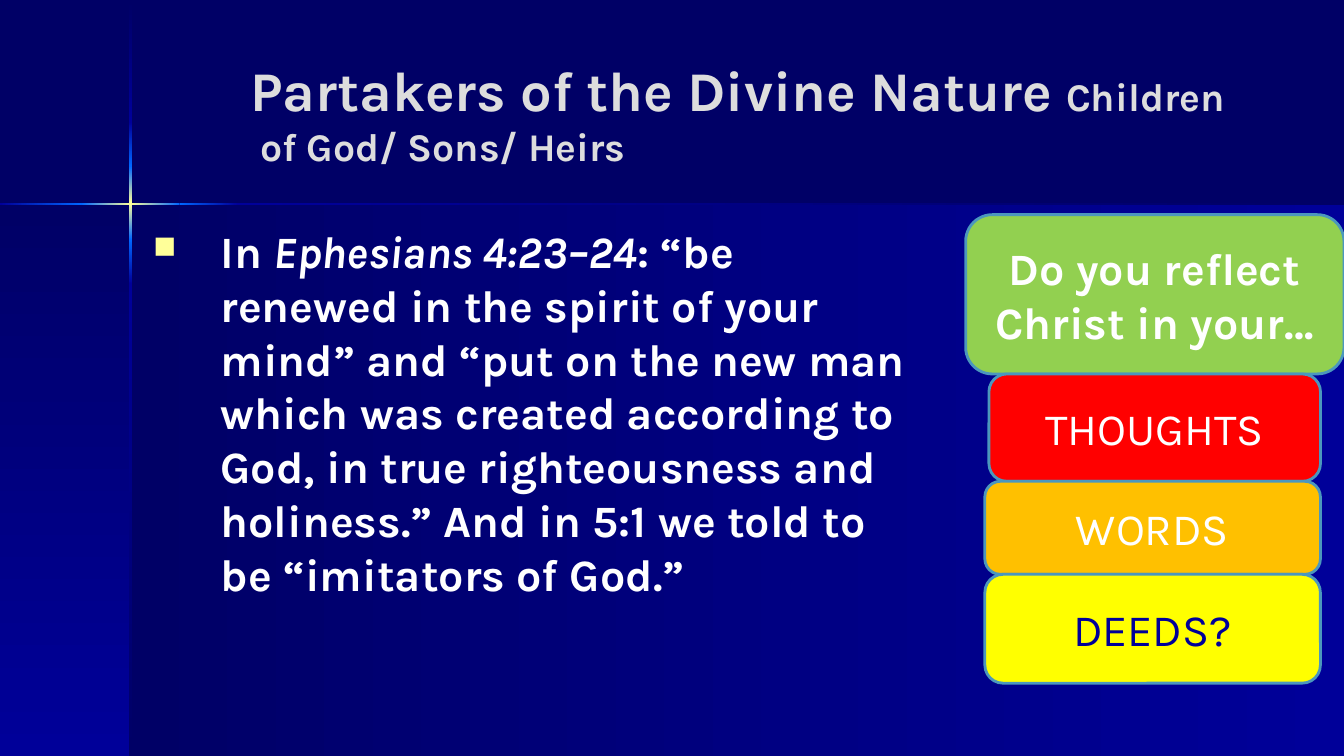
from itertools import pairwise

from lxml.etree import SubElement
from pptx import Presentation
from pptx.dml.color import RGBColor
from pptx.enum.shapes import MSO_SHAPE as Shape
from pptx.enum.text import MSO_ANCHOR as Anchor, MSO_AUTO_SIZE as AutoSize, PP_ALIGN as Align
from pptx.oxml.ns import qn
from pptx.util import Inches, Pt

NIGHT, NAVY, BLUE, GLOW = "000066", "000099", "0066FF", "FFFF99"
WHITE, SILVER, EDGE = "FFFFFF", "DDDDDD", "4B97BD"


def color(value):
    return RGBColor.from_string(value)


class SlideBuilder:
    """Holds the style and the slide; lengths are percent of the slide's size."""

    font = "Karla"
    size = 32

    def __init__(self, deck):
        self.width, self.height = deck.slide_width, deck.slide_height
        self.page = deck.slides.add_slide(deck.slide_layouts[5])
        self.page.background.fill.solid()
        self.page.background.fill.fore_color.rgb = color(NIGHT)

    def area(self, left, top, width, height):
        return (round(self.width * left / 100), round(self.height * top / 100),
                round(self.width * width / 100), round(self.height * height / 100))

    def shape(self, kind, area):
        box = self.page.shapes.add_shape(kind, *self.area(*area))
        box.shadow.inherit = False
        return box

    def gradient(self, area, tones, downward=False):
        box = self.shape(Shape.RECTANGLE, area)
        box.line.fill.background()
        box.fill.gradient()
        box.fill.gradient_angle = 270 if downward else 0
        stops = box._element.spPr.find(qn("a:gradFill")).find(qn("a:gsLst"))
        stops.clear()
        for index, tone in enumerate(tones):
            position = 100000 * index // (len(tones) - 1)
            stop = SubElement(stops, qn("a:gs"), pos=str(position))
            SubElement(stop, qn("a:srgbClr"), val=tone)

    def ray(self, marks, segments, downward=False):
        for (start, end), tones in zip(pairwise(marks), segments):
            length = end - start
            area = (9.6, start, 0.22, length) if downward else (start, 26.8, length, 0.27)
            self.gradient(area, tones, downward)

    def span(self, para, text, tone, size=None, bold=True, italic=False):
        span = para.add_run()
        span.text = text
        span.font.name = self.font
        span.font.size = Pt(size or self.size)
        span.font.bold, span.font.italic = bold, italic
        span.font.color.rgb = color(tone)

    def hang(self, para, margin, indent):
        properties = para._p.get_or_add_pPr()
        properties.set("marL", str(Inches(margin)))
        properties.set("indent", str(Inches(indent)))
        return properties

    def title(self, area, spans):
        box = self.page.shapes.title
        self.page.shapes._spTree.append(box._element)
        box.left, box.top, box.width, box.height = self.area(*area)
        frame = box.text_frame
        frame.word_wrap, frame.auto_size = True, AutoSize.NONE
        frame.vertical_anchor = Anchor.MIDDLE
        para = frame.paragraphs[0]
        para.alignment = Align.LEFT
        self.hang(para, 0.92, -0.1)
        for text, size in spans:
            self.span(para, text, SILVER, size)

    def bullet(self, area, spans):
        box = self.page.shapes.add_textbox(*self.area(*area))
        box.text_frame.word_wrap = True
        para = box.text_frame.paragraphs[0]
        properties = self.hang(para, 0.67, -0.67)
        tint = SubElement(properties, qn("a:buClr"))
        SubElement(tint, qn("a:srgbClr"), val=GLOW)
        SubElement(properties, qn("a:buSzPct"), val="70000")
        SubElement(properties, qn("a:buChar"), char="■")
        for text, italic in spans:
            self.span(para, text, WHITE, italic=italic)

    def card(self, area, text, fill, tone, bold):
        box = self.shape(Shape.ROUNDED_RECTANGLE, area)
        box.fill.solid()
        box.fill.fore_color.rgb = color(fill)
        box.line.color.rgb = color(EDGE)
        box.line.width = Pt(2)
        frame = box.text_frame
        frame.word_wrap, frame.vertical_anchor = True, Anchor.MIDDLE
        para = frame.paragraphs[0]
        para.alignment = Align.CENTER
        self.span(para, text, tone, bold=bold)


def main():
    deck = Presentation()
    deck.slide_width, deck.slide_height = Inches(13.33), Inches(7.5)
    slide = SlideBuilder(deck)

    # Background panels
    slide.gradient((9.68, 26.93, 90.32, 73.07), (NIGHT, NAVY))
    slide.gradient((0, 26.93, 9.68, 73.07), (NIGHT, NAVY), downward=True)

    # Crossing rays of light
    segments = [(NIGHT, NAVY), (NAVY, BLUE), (BLUE, GLOW, BLUE), (BLUE, NAVY), (NAVY, NIGHT)]
    slide.ray((0, 16.13, 22, 31.73, 37.6, 100), segments, downward=True)
    slide.ray((0, 6.08, 13.35, 17.7, 100), segments[1:])

    # Title and scripture
    slide.title((11.7, 4.4, 82.5, 20.93), [
        ("Partakers of the Divine Nature ", 40),
        ("Children of God/ Sons/ Heirs", 28),
    ])
    slide.bullet((10.65, 28.93, 57.52, 66.67), [
        ("In ", False),
        ("Ephesians 4:23–24", True),
        (": “be renewed in the spirit of your mind” and “put on the new man which was "
         "created according to God, in true righteousness and holiness.” And in 5:1 we "
         "told to be “imitators of God.”", False),
    ])

    # Stack of question cards
    cards = [
        (71.85, 100, 21.07, "Do you reflect Christ in your…", "92D050", WHITE, True),
        (73.58, 98.25, 14.2, "THOUGHTS", "FF0000", WHITE, False),
        (73.28, 98.25, 12.3, "WORDS", "FFC000", WHITE, False),
        (73.28, 98.25, 14.4, "DEEDS?", "FFFF00", NAVY, False),
    ]
    top = 28.4
    for left, right, height, *look in cards:
        slide.card((left, top, right - left, height), *look)
        top += height

    deck.save("out.pptx")


if __name__ == "__main__":
    main()
